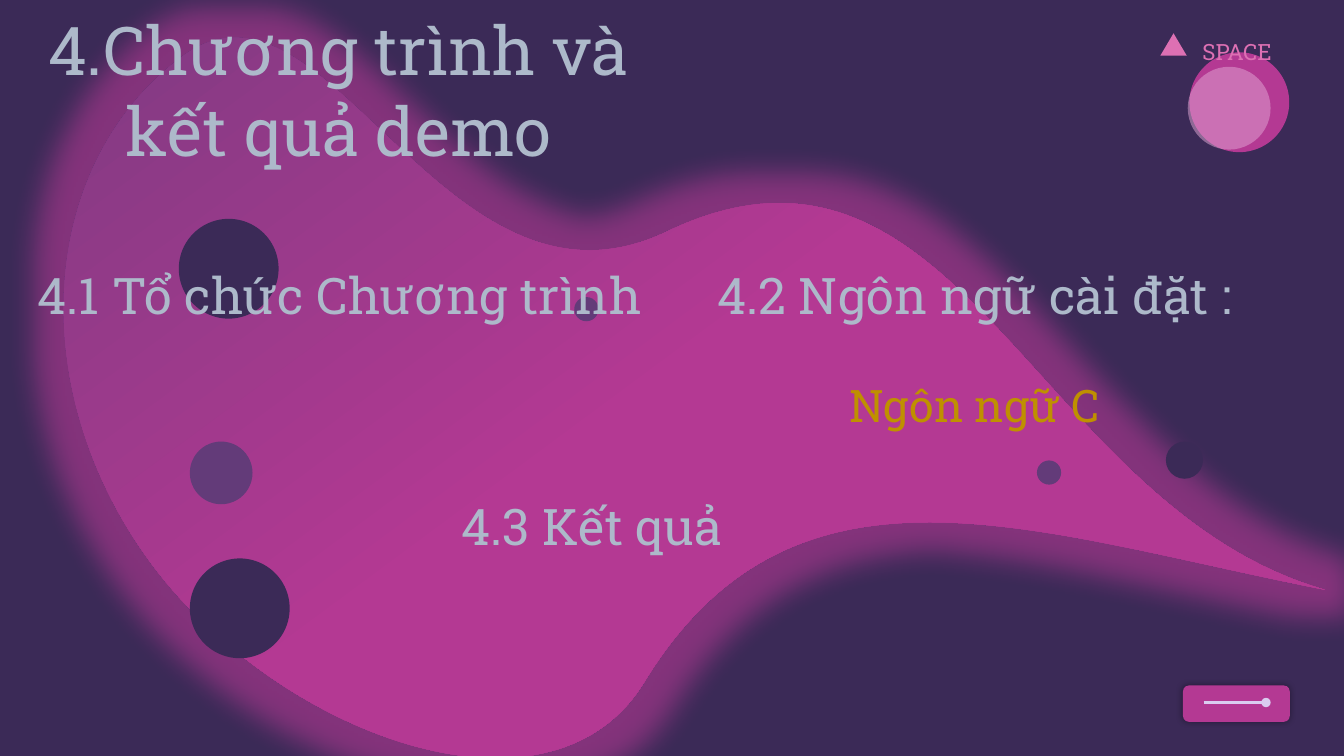
import math
from dataclasses import dataclass

import lxml.etree
import pptx
import pptx.dml.color
import pptx.enum.shapes
import pptx.enum.text
import pptx.oxml.ns
import pptx.shapes.autoshape
import pptx.shapes.base
import pptx.slide
import pptx.util

Pt = pptx.util.Pt
Kind = pptx.enum.shapes.MSO_SHAPE
Point = tuple[float, float]


@dataclass(frozen=True)
class Theme:
    night: str = "3B2A57"
    plum: str = "633B79"
    pink: str = "B43993"
    rose: str = "DD70B3"
    blush: str = "E2A8D5"
    lilac: str = "DACCF0"
    mist: str = "ADB9CA"
    gold: str = "BF9000"
    black: str = "000000"
    font: str = "Roboto Slab"
    title: int = 48
    head: int = 36
    body: int = 32
    small: int = 16


@dataclass(frozen=True)
class Orb:
    left: float
    top: float
    size: float
    color: str
    alpha: int = 100


@dataclass(frozen=True)
class Line:
    text: str
    size: int
    color: str
    gap: float = 0


@dataclass(frozen=True)
class Label:
    left: float
    top: float
    width: float
    height: float
    lines: tuple[Line, ...]


THEME = Theme()
TILT = 53.5
START: Point = (130.3, 40.3)
CURVES: tuple[tuple[Point, Point, Point], ...] = (
    ((233.3, -36), (317.5, 241.2), (475.9, 165.6)),
    ((684.7, 65.5), (738.7, 361.4), (946.1, 421.2)),
    ((737.3, 380.2), (567.4, 311.8), (460.1, 487.4)),
    ((393.1, 596.9), (199.4, 525.6), (108, 402.5)),
    ((16.6, 278.6), (26.6, 117.4), START),
)
TITLE = Label(0, 2.5, 484, 124, (
    Line("4.Chương trình và kết quả demo", THEME.title, THEME.mist),))
BRAND = Label(846.5, 23.8, 74.2, 26.6, (
    Line("SPACE", THEME.small, THEME.rose),))
HEADS = (
    Label(0.7, 185, 484, 94.3, (
        Line("4.1 Tổ chức Chương trình", THEME.head, THEME.mist),)),
    Label(454.3, 185, 484, 128.2, (
        Line("4.2 Ngôn ngữ cài đặt :", THEME.head, THEME.mist),
        Line("Ngôn ngữ C", THEME.body, THEME.gold, 37.8))),
    Label(180.7, 350, 484, 51, (
        Line("4.3 Kết quả", THEME.head, THEME.mist),)),
)
BACK = (
    Orb(849.6, 37.4, 71.3, THEME.pink),
    Orb(135.6, 315.4, 44.8, THEME.plum),
    Orb(410.2, 212.2, 17.3, THEME.plum),
    Orb(740.7, 328.9, 17.3, THEME.plum),
    Orb(127.7, 156.3, 71.3, THEME.night),
    Orb(832.8, 315.4, 26.6, THEME.night),
)
FRONT = (
    Orb(135.6, 398.9, 71.3, THEME.night),
    Orb(848.4, 47.7, 59.2, THEME.blush, 50),
)


def rgb(color: str) -> pptx.dml.color.RGBColor:
    return pptx.dml.color.RGBColor.from_string(color)


def add_tag(parent: lxml.etree._Element, name: str, **attrs: object) -> lxml.etree._Element:
    return lxml.etree.SubElement(
        parent, pptx.oxml.ns.qn(name), {key: str(val) for key, val in attrs.items()})


def add_effect(shape: pptx.shapes.base.BaseShape, name: str, color: str,
               alpha: int, **attrs: object) -> None:
    effects = shape.element.spPr.find(pptx.oxml.ns.qn("a:effectLst"))
    tint = add_tag(add_tag(effects, name, **attrs), "a:srgbClr", val=color)
    add_tag(tint, "a:alpha", val=alpha * 1000)


def turn(point: Point, angle: float) -> Point:
    x, y = point
    cos, sin = math.cos(math.radians(angle)), math.sin(math.radians(angle))
    return x * cos - y * sin, x * sin + y * cos


def trace(knots: list[Point], steps: int = 40) -> list[Point]:
    points = []
    for first in range(0, len(knots) - 1, 3):
        for step in range(steps + 1):
            t = step / steps
            mix = ((1 - t) ** 3, 3 * t * (1 - t) ** 2, 3 * t * t * (1 - t), t ** 3)
            part = list(zip(mix, knots[first:first + 4]))
            points.append((sum(m * k[0] for m, k in part), sum(m * k[1] for m, k in part)))
    return points


def add_blob(slide: pptx.slide.Slide) -> None:
    knots = [turn(point, -TILT) for point in (START, *(p for curve in CURVES for p in curve))]
    xs, ys = zip(*trace(knots))
    left, top, right, base = min(xs), min(ys), max(xs), max(ys)
    form = slide.shapes.build_freeform(Pt(left), Pt(top))
    form.add_line_segments([(Pt(right), Pt(top)), (Pt(right), Pt(base))], close=True)
    blob = form.convert_to_shape()
    outline = blob.element.spPr.find(".//" + pptx.oxml.ns.qn("a:path"))
    for child in list(outline):
        outline.remove(child)
    for index, (x, y) in enumerate(knots):
        if index % 3 == 1:
            step = add_tag(outline, "a:cubicBezTo")
        elif index == 0:
            step = add_tag(outline, "a:moveTo")
        add_tag(step, "a:pt", x=Pt(x - left), y=Pt(y - top))
    add_tag(outline, "a:close")
    x, y = turn(((left + right) / 2, (top + base) / 2), TILT)
    blob.left, blob.top = Pt(x - (right - left) / 2), Pt(y - (base - top) / 2)
    blob.rotation = TILT
    blob.fill.gradient()
    blob.fill.gradient_angle = 0
    stops = zip(blob.fill.gradient_stops, (0, 0.5), (THEME.plum, THEME.pink))
    for stop, place, color in stops:
        stop.position = place
        stop.color.rgb = rgb(color)
    blob.line.fill.background()
    blob.shadow.inherit = False
    add_effect(blob, "a:glow", THEME.pink, 60, rad=Pt(40))


def add_solid(slide: pptx.slide.Slide, kind: Kind, left: float, top: float, width: float,
              height: float, color: str) -> pptx.shapes.autoshape.Shape:
    shape = slide.shapes.add_shape(kind, Pt(left), Pt(top), Pt(width), Pt(height))
    shape.fill.solid()
    shape.fill.fore_color.rgb = rgb(color)
    shape.line.fill.background()
    shape.shadow.inherit = False
    return shape


def add_orb(slide: pptx.slide.Slide, orb: Orb) -> None:
    shape = add_solid(slide, Kind.OVAL, orb.left, orb.top, orb.size, orb.size, orb.color)
    if orb.alpha < 100:
        tint = shape.element.spPr.find(".//" + pptx.oxml.ns.qn("a:srgbClr"))
        add_tag(tint, "a:alpha", val=orb.alpha * 1000)


def add_label(slide: pptx.slide.Slide, label: Label) -> None:
    box = slide.shapes.add_textbox(
        Pt(label.left), Pt(label.top), Pt(label.width), Pt(label.height))
    frame = box.text_frame
    frame.word_wrap = True
    frame.auto_size = pptx.enum.text.MSO_AUTO_SIZE.SHAPE_TO_FIT_TEXT
    for index, line in enumerate(label.lines):
        para = frame.add_paragraph() if index else frame.paragraphs[0]
        para.alignment = pptx.enum.text.PP_ALIGN.CENTER
        if line.gap:
            para.space_before = Pt(line.gap)
        run = para.add_run()
        run.text = line.text
        run.font.name = THEME.font
        run.font.size = Pt(line.size)
        run.font.color.rgb = rgb(line.color)


def add_button(slide: pptx.slide.Slide) -> None:
    plate = add_solid(slide, Kind.ROUNDED_RECTANGLE, 845, 489.6, 76.3, 26, THEME.pink)
    add_effect(plate, "a:outerShdw", THEME.black, 40, blurRad=Pt(5), dist=0, dir=0)
    rod = slide.shapes.add_connector(
        pptx.enum.shapes.MSO_CONNECTOR.STRAIGHT, Pt(859.7), Pt(501.8), Pt(904.3), Pt(501.8))
    rod.line.color.rgb = rgb(THEME.lilac)
    rod.line.width = Pt(2.25)
    props = rod.element.spPr
    add_tag(props.find(pptx.oxml.ns.qn("a:ln")), "a:tailEnd", type="oval")
    add_tag(props, "a:effectLst")


def main() -> None:
    deck = pptx.Presentation()
    deck.slide_width, deck.slide_height = Pt(960), Pt(540)
    slide = deck.slides.add_slide(deck.slide_layouts[6])
    slide.background.fill.solid()
    slide.background.fill.fore_color.rgb = rgb(THEME.night)
    add_blob(slide)
    add_label(slide, TITLE)
    for orb in BACK:
        add_orb(slide, orb)
    add_label(slide, BRAND)
    add_solid(slide, Kind.ISOSCELES_TRIANGLE, 828.8, 23.8, 18.9, 16, THEME.rose)
    add_button(slide)
    for orb in FRONT:
        add_orb(slide, orb)
    for head in HEADS:
        add_label(slide, head)
    deck.save("out.pptx")


if __name__ == "__main__":
    main()
